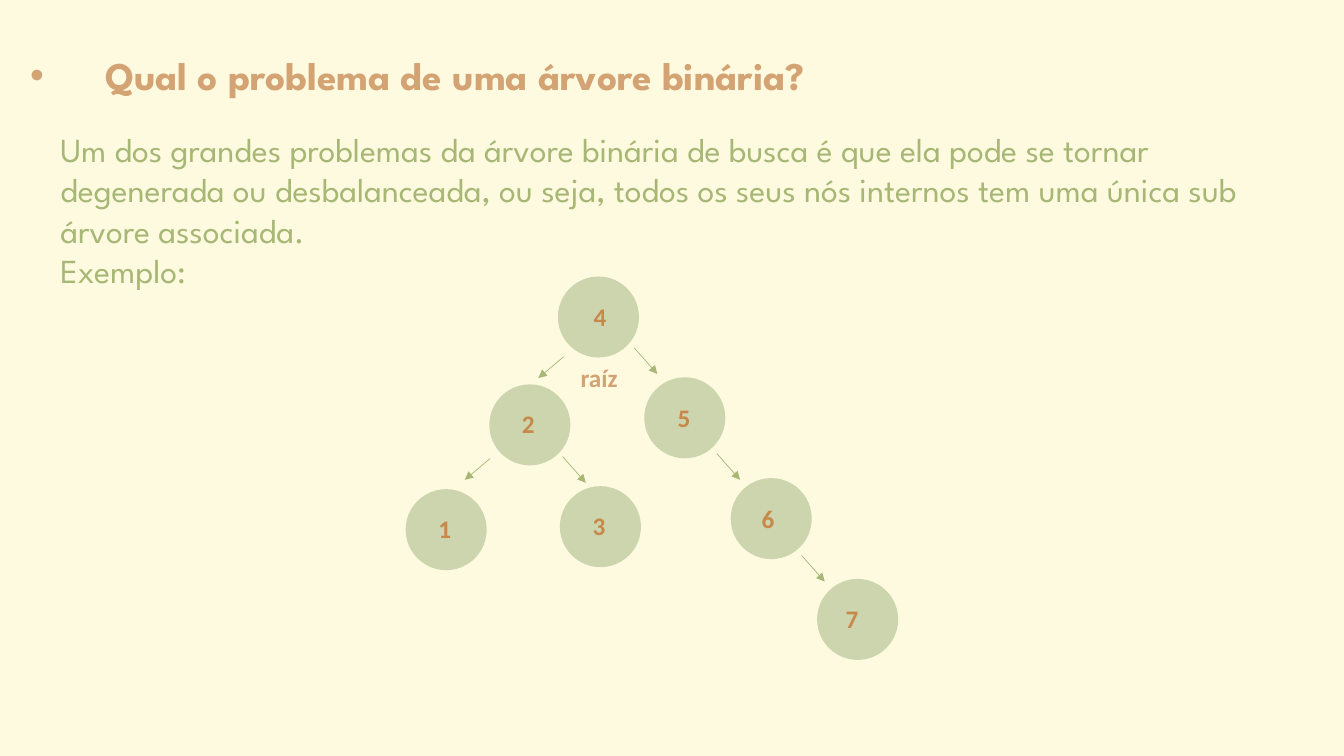
from lxml.etree import SubElement
from pptx import Presentation
from pptx.dml.color import RGBColor
from pptx.enum.shapes import MSO_CONNECTOR as Connector, MSO_SHAPE as Shape
from pptx.enum.text import MSO_AUTO_SIZE as AutoSize, PP_ALIGN as Align
from pptx.oxml.ns import qn
from pptx.util import Inches, Pt

COLUMNS, ROWS = 13.33, 7.5  # square grid cells, one inch each
NODE_SIZE = 0.79
LABEL_SIZE = (0.48, 0.4)


def color(hex_string):
    return RGBColor.from_string(hex_string)


class TreeSlide:
    FORMATS = {
        "title": {"name": "League Spartan", "size": Pt(28), "bold": True, "color": "D4A373"},
        "body": {"name": "League Spartan", "size": Pt(24), "bold": False, "color": "A7B775"},
        "node": {"name": "Calibri", "size": Pt(18), "bold": True, "color": "C78849"},
        "caption": {"name": "Calibri", "size": Pt(18), "bold": True, "color": "D4A373"},
    }
    BACKGROUND, NODE, ARROW = "FEFAE0", "CCD5AE", "A7B775"

    def __init__(self, presentation):
        self.column = presentation.slide_width / COLUMNS
        self.row = presentation.slide_height / ROWS
        self.slide = presentation.slides.add_slide(presentation.slide_layouts[6])
        fill = self.slide.background.fill
        fill.solid()
        fill.fore_color.rgb = color(self.BACKGROUND)

    def place(self, *lengths):
        """Turn alternating columns and rows into slide units."""
        return [round(length * (self.row if index % 2 else self.column))
                for index, length in enumerate(lengths)]

    def text(self, box, lines, style, align=Align.LEFT, wrap=True):
        frame = self.slide.shapes.add_textbox(*self.place(*box)).text_frame
        frame.word_wrap = wrap
        frame.auto_size = AutoSize.SHAPE_TO_FIT_TEXT
        frame.text = "\n".join(lines)
        for paragraph in frame.paragraphs:
            paragraph.alignment = align
            font = paragraph.runs[0].font
            for key, value in self.FORMATS[style].items():
                if key == "color":
                    font.color.rgb = color(value)
                else:
                    setattr(font, key, value)
        return frame

    def bullet(self, paragraph, indent):
        properties = paragraph._p.get_or_add_pPr()
        properties.set("marL", str(Inches(indent)))
        properties.set("indent", str(-Inches(indent)))
        SubElement(properties, qn("a:buFont"), typeface="Arial")
        SubElement(properties, qn("a:buChar"), char="•")

    def node(self, label, left, top, label_left, label_top):
        box = self.place(left, top, NODE_SIZE, NODE_SIZE)
        shape = self.slide.shapes.add_shape(Shape.OVAL, *box)
        shape.shadow.inherit = False
        shape.fill.solid()
        shape.fill.fore_color.rgb = color(self.NODE)
        shape.line.color.rgb = color(self.NODE)
        shape.line.width = Pt(1)
        self.text((label_left, label_top, *LABEL_SIZE), [label], "node", Align.CENTER)

    def arrow(self, left, top, across, down):
        ends = self.place(left, top, left + across, top + down)
        connector = self.slide.shapes.add_connector(Connector.STRAIGHT, *ends)
        connector.line.color.rgb = color(self.ARROW)
        connector.line.width = Pt(0.5)
        SubElement(connector.line._get_or_add_ln(), qn("a:tailEnd"), type="triangle")
        SubElement(connector._element.spPr, qn("a:effectLst"))


presentation = Presentation()
presentation.slide_width, presentation.slide_height = Inches(COLUMNS), Inches(ROWS)
tree = TreeSlide(presentation)

# Heading and explanation
title = tree.text((0.2, 0.46, 8.72, 0.57), ["Qual o problema de uma árvore binária?"], "title")
tree.bullet(title.paragraphs[0], 0.75)
tree.text((0.5, 1.23, 12.59, 1.72), [
    "Um dos grandes problemas da árvore binária de busca é que ela pode se tornar "
    "degenerada ou desbalanceada, ou seja, todos os seus nós internos tem uma única "
    "sub árvore associada.",
    "Exemplo:",
], "body")

# Right branch: the root and its descendants step down one row at a time
for step, label in enumerate("4567"):
    top = 2.75 + step
    tree.node(label, 5.54 + 0.857 * step, top, 5.71 + 0.833 * step, top + 0.19)

# Left branch
for label, left, top in [("2", 4.86, 3.82), ("1", 4.03, 4.86), ("3", 5.56, 4.83)]:
    tree.node(label, left, top, left + 0.14, top + 0.18)

# Root caption
tree.text((5.66, 3.55, 0.59, 0.4), ["raíz"], "caption", wrap=False)

# Arrows to left and right children
LEFT_CHILD, RIGHT_CHILD = (-0.25, 0.21), (0.23, 0.26)
arrow_starts = {
    LEFT_CHILD: [(5.59, 3.54), (4.86, 4.55)],
    RIGHT_CHILD: [(6.29, 3.45), (7.11, 4.5), (7.95, 5.51), (5.58, 4.53)],
}
for direction, starts in arrow_starts.items():
    for start in starts:
        tree.arrow(*start, *direction)

presentation.save("out.pptx")
